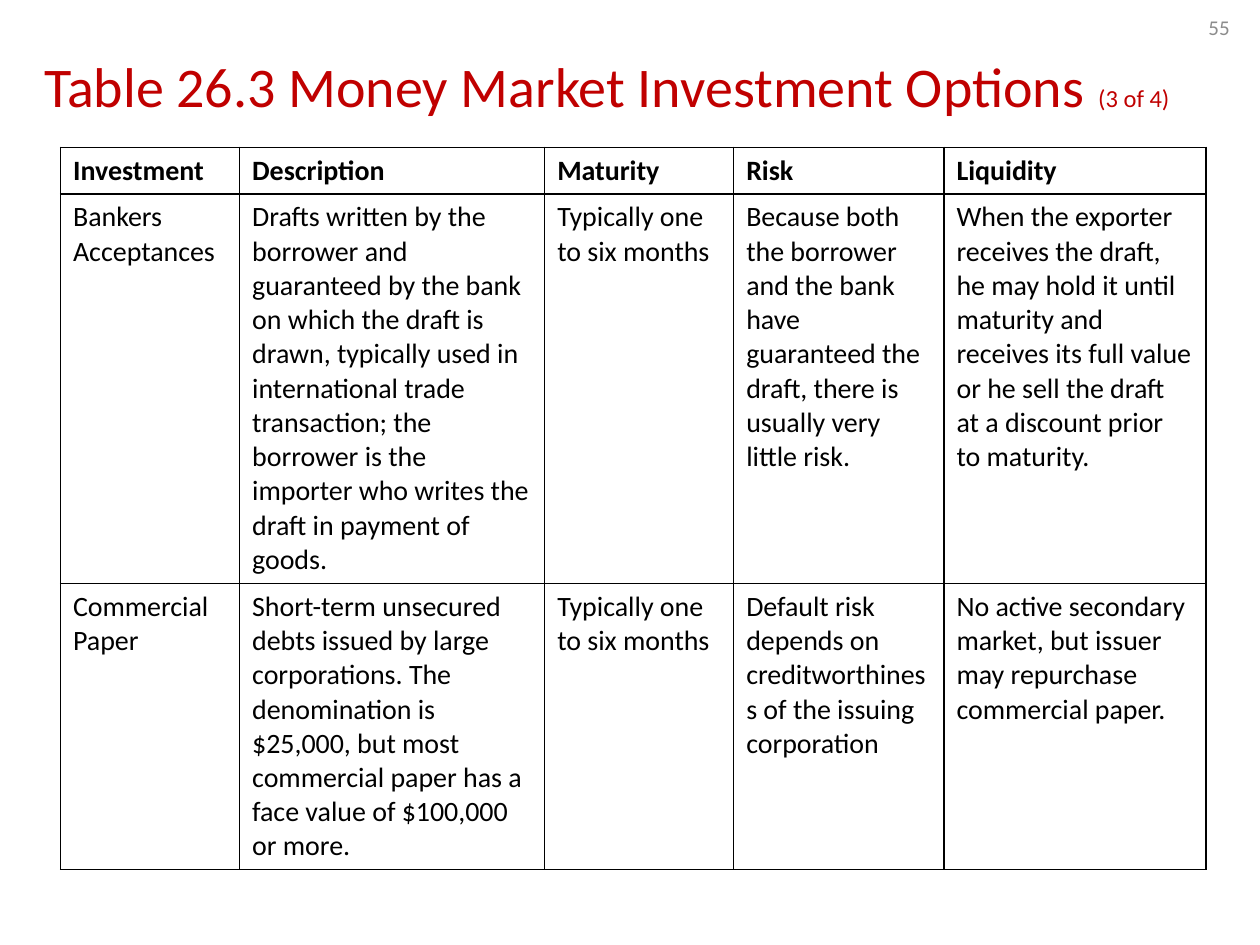
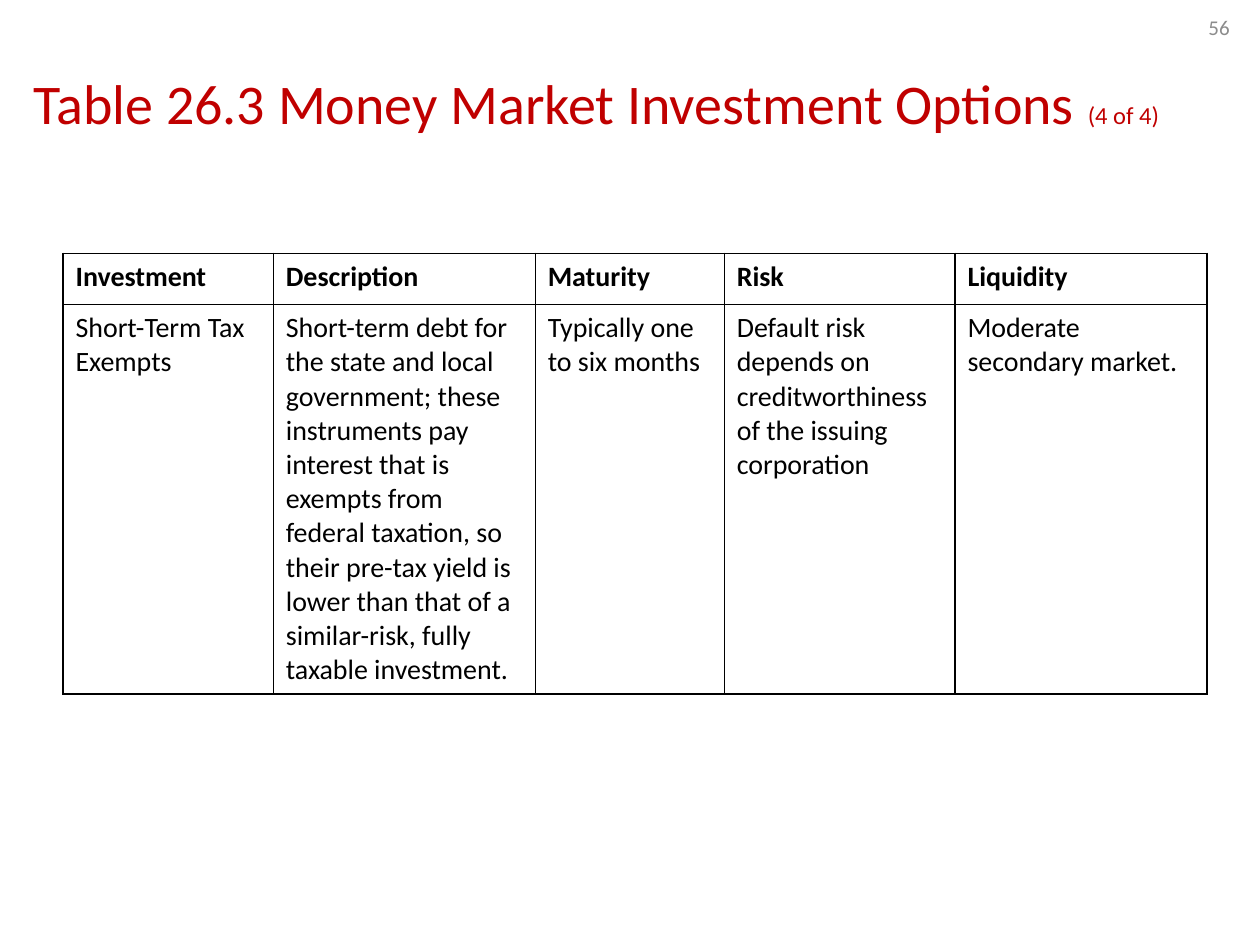
import pptx
import pptx.dml.color
import pptx.enum.text
import pptx.oxml
import pptx.oxml.ns
import pptx.util
from pptx.util import Cm

FONT = "Calibri"
BLACK, RED, GREY, WHITE = "000000", "C00000", "8C8C8C", "FFFFFF"
TITLE = "Table 26.3 Money Market Investment Options "
HEADINGS = ("Investment", "Description", "Maturity", "Risk", "Liquidity")
TERM = "Typically one to six months"
DEFAULT_RISK = "Default risk depends on creditworthiness of the issuing corporation"

# Boxes are left, top, width, height; all lengths are in centimetres.
NUMBER_BOX = (23.52, 0.3, 1.52, 0.51)
SLIDES = [
    dict(
        part="(3 of 4)", number="55",
        title_box=(0.64, -0.03, 23.65, 3.68),
        table_corner=(1.22, 2.97),
        columns=(3.61, 6.15, 3.81, 4.24, 5.28),
        rows=(0.94, 7.85, 5.77),
        investments=[
            ("Bankers Acceptances",
             "Drafts written by the borrower and guaranteed by the bank on which "
             "the draft is drawn, typically used in international trade "
             "transaction; the borrower is the importer who writes the draft in "
             "payment of goods.",
             TERM,
             "Because both the borrower and the bank have guaranteed the draft, "
             "there is usually very little risk.",
             "When the exporter receives the draft, he may hold it until maturity "
             "and receives its full value or he sell the draft at a discount "
             "prior to maturity."),
            ("Commercial Paper",
             "Short-term unsecured debts issued by large corporations. The "
             "denomination is $25,000, but most commercial paper has a face value "
             "of $100,000 or more.",
             TERM,
             DEFAULT_RISK,
             "No active secondary market, but issuer may repurchase commercial "
             "paper."),
        ],
    ),
    dict(
        part="(4 of 4)", number="56",
        title_box=(0.43, 0.3, 23.7, 3.68),
        table_corner=(1.27, 5.11),
        columns=(4.24, 5.28, 3.81, 4.65, 5.08),
        rows=(1.03, 7.85),
        investments=[
            ("Short-Term Tax Exempts",
             "Short-term debt for the state and local government; these "
             "instruments pay interest that is exempts from federal taxation, so "
             "their pre-tax yield is lower than that of a similar-risk, fully "
             "taxable investment.",
             TERM,
             DEFAULT_RISK,
             "Moderate secondary market."),
        ],
    ),
]


def rgb(code):
    return pptx.dml.color.RGBColor.from_string(code)


def write(paragraph, text, size=16, color=BLACK, bold=False):
    """Append one formatted run to the paragraph."""
    run = paragraph.add_run()
    run.text = text
    run.font.name = FONT
    run.font.size = pptx.util.Pt(size)
    run.font.bold = bold
    run.font.color.rgb = rgb(color)


def add_box(slide, box):
    """Add a wrapping, vertically centred text box; return its paragraph."""
    frame = slide.shapes.add_textbox(*map(Cm, box)).text_frame
    frame.word_wrap = True
    frame.vertical_anchor = pptx.enum.text.MSO_ANCHOR.MIDDLE
    return frame.paragraphs[0]


def add_borders(cell, color=BLACK, points=1):
    properties = cell._tc.get_or_add_tcPr()
    for position, side in enumerate("LRTB"):
        properties.insert(position, pptx.oxml.parse_xml(
            f'<a:ln{side} {pptx.oxml.ns.nsdecls("a")} w="{pptx.util.Pt(points)}">'
            f'<a:solidFill><a:srgbClr val="{color}"/></a:solidFill></a:ln{side}>'))


def add_investments(slide, corner, columns, rows, investments):
    size = (sum(columns), sum(rows))
    table = slide.shapes.add_table(
        len(rows), len(columns), *map(Cm, corner + size)).table
    table.first_row = table.horz_banding = False
    for column, width in zip(table.columns, columns):
        column.width = Cm(width)
    for r, (height, texts) in enumerate(zip(rows, [HEADINGS, *investments])):
        table.rows[r].height = Cm(height)
        for c, text in enumerate(texts):
            cell = table.cell(r, c)
            cell.fill.solid()
            cell.fill.fore_color.rgb = rgb(WHITE)
            add_borders(cell)
            write(cell.text_frame.paragraphs[0], text, bold=r == 0)


def main():
    deck = pptx.Presentation()
    deck.slide_width, deck.slide_height = Cm(25.4), Cm(19.05)
    for content in SLIDES:
        slide = deck.slides.add_slide(deck.slide_layouts[6])
        title = add_box(slide, content["title_box"])
        title.line_spacing = 0.9
        write(title, TITLE, size=32, color=RED)
        write(title, content["part"], size=14, color=RED)
        add_investments(slide, content["table_corner"], content["columns"],
                        content["rows"], content["investments"])
        number = add_box(slide, NUMBER_BOX)
        number.alignment = pptx.enum.text.PP_ALIGN.RIGHT
        write(number, content["number"], size=12, color=GREY)
    deck.save("out.pptx")


if __name__ == "__main__":
    main()
